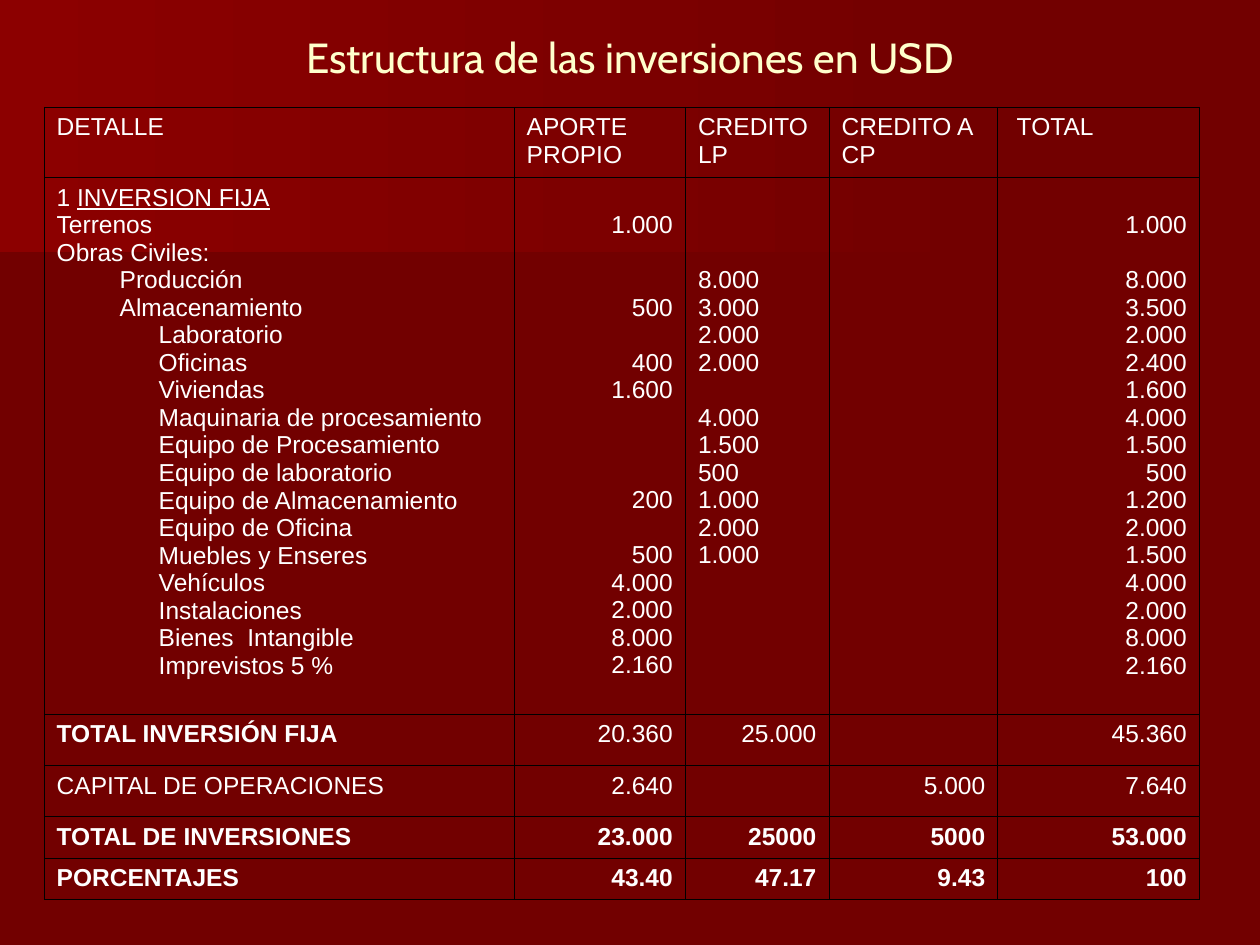
from dataclasses import dataclass

from lxml import etree
from pptx import Presentation, util as u
from pptx.dml.color import RGBColor
from pptx.enum import text
from pptx.oxml import ns

WHITE, CREAM, BLACK = "FFFFFF", "FFFFCC", "000000"
DARK, DEEP, BRIGHT = "720000", "6A0000", "8C0000"
LEFT, RIGHT = text.PP_ALIGN.LEFT, text.PP_ALIGN.RIGHT
INSET = 0.05   # top inset of a cell, inches
LINE = 15.7    # height of one text line, points
COLS = (3.73, 1.36, 1.14, 1.34, 1.6)
ROWS = (0.56, 4.26, 0.38, 0.39, 0.33, 0.33)


@dataclass
class Item:
    name: str
    own: str = ""
    loan: str = ""
    total: str = ""
    indent: float = 0.81


@dataclass
class Band:
    points: list
    near: str
    far: str


BANDS = [
    Band([(0, 1.01), (7.79, 1.01), (7.78, 1.53), (0, 2.17)], DARK, DEEP),
    Band([(0, 0), (7.92, 0), (7.92, 1.62), (0, 2.08)], DARK, BRIGHT),
]
HEADS = ("DETALLE", "APORTE PROPIO", "CREDITO LP", "CREDITO A CP", "TOTAL")
HEADING = ("1 ", "INVERSION FIJA")
ITEMS = [
    Item("Terrenos", "1.000", "", "1.000", 0),
    Item("Obras Civiles:", indent=0),
    Item("Producción", "", "8.000", "8.000", 0.5),
    Item("Almacenamiento", "500", "3.000", "3.500", 0.5),
    Item("Laboratorio", "", "2.000", "2.000"),
    Item("Oficinas", "400", "2.000", "2.400"),
    Item("Viviendas", "1.600", "", "1.600"),
    Item("Maquinaria de procesamiento", "", "4.000", "4.000"),
    Item("Equipo de Procesamiento", "", "1.500", "1.500"),
    Item("Equipo de laboratorio", "", "500", "500"),
    Item("Equipo de Almacenamiento", "200", "1.000", "1.200"),
    Item("Equipo de Oficina", "", "2.000", "2.000"),
    Item("Muebles y Enseres", "500", "1.000", "1.500"),
    Item("Vehículos", "4.000", "", "4.000"),
    Item("Instalaciones", "2.000", "", "2.000"),
    Item("Bienes  Intangible", "8.000", "", "8.000"),
    Item("Imprevistos 5 %", "2.160", "", "2.160"),
]
# Each summary row: its texts, then which columns are bold
SUMS = [
    (("TOTAL INVERSIÓN FIJA", "20.360", "25.000", "", "45.360"), (0,)),
    (("CAPITAL DE OPERACIONES", "2.640", "", "5.000", "7.640"), ()),
    (("TOTAL DE INVERSIONES", "23.000", "25000", "5000", "53.000"), range(5)),
    (("PORCENTAJES", "43.40", "47.17", "9.43", "100"), range(5)),
]


def color(code: str) -> RGBColor:
    return RGBColor.from_string(code)


def add_run(para, words: str, size=14, face="Arial", code=WHITE,
            bold=False, under=False) -> None:
    run = para.add_run()
    run.text = words
    font = run.font
    font.size, font.name = u.Pt(size), face
    font.bold, font.underline = bold, under
    font.color.rgb = color(code)


def next_para(frame):
    """Give the first, still empty paragraph or a new one."""
    first = frame.paragraphs[0]
    return frame.add_paragraph() if first.runs else first


def indent(para, inches: float) -> None:
    props = para._p.get_or_add_pPr()
    props.set("marL", str(u.Inches(inches)))
    props.set("indent", "0")


def draw_band(slide, band: Band) -> None:
    pen = slide.shapes.build_freeform(*band.points[0], scale=u.Inches(1))
    pen.add_line_segments(band.points[1:], close=True)
    shape = pen.convert_to_shape()
    shape.shadow.inherit = False
    shape.line.fill.background()
    shape.fill.gradient()
    shape.fill.gradient_angle = 180
    stops = shape.fill.gradient_stops
    for stop, code, place in zip(stops, (band.near, band.far), (0, 1)):
        stop.color.rgb, stop.position = color(code), place


def style_cell(cell) -> None:
    """Thin black borders and no fill."""
    cell.margin_left = cell.margin_right = u.Inches(0.1)
    cell.margin_top = cell.margin_bottom = u.Inches(INSET)
    cell.vertical_anchor = text.MSO_ANCHOR.TOP
    props = cell._tc.get_or_add_tcPr()
    for side in ("lnL", "lnR", "lnT", "lnB"):
        line = etree.SubElement(props, ns.qn(f"a:{side}"), w=str(u.Pt(0.45)))
        fill = etree.SubElement(line, ns.qn("a:solidFill"))
        etree.SubElement(fill, ns.qn("a:srgbClr"), val=BLACK)
    cell.fill.background()


def write_cell(cell, words: str, align=LEFT, bold=False) -> None:
    if words:
        para = cell.text_frame.paragraphs[0]
        para.alignment = align
        add_run(para, words, bold=bold)


def write_values(cell, values: list, align) -> None:
    """Set each value level with its item; missing ones leave a gap."""
    gap = 1  # the heading line
    for value in values:
        if not value:
            gap += 1
            continue
        para = next_para(cell.text_frame)
        if para is cell.text_frame.paragraphs[0] or len(cell.text_frame.paragraphs) == 1:
            cell.margin_top = u.Inches(INSET) + u.Pt(gap * LINE)
        elif gap:
            para.space_before = u.Pt(gap * LINE)
        para.alignment = align
        add_run(para, value)
        gap = 0


def write_items(cell) -> None:
    para = cell.text_frame.paragraphs[0]
    add_run(para, HEADING[0])
    add_run(para, HEADING[1], under=True)
    for item in ITEMS:
        para = next_para(cell.text_frame)
        indent(para, item.indent)
        add_run(para, item.name)


def draw_table(slide) -> None:
    frame = slide.shapes.add_table(
        len(ROWS), len(COLS), u.Inches(0.35), u.Inches(0.85),
        u.Inches(sum(COLS)), u.Inches(sum(ROWS)))
    table = frame.table
    table.first_row = table.horz_banding = False
    for col, width in zip(table.columns, COLS):
        col.width = u.Inches(width)
    for row, height in zip(table.rows, ROWS):
        row.height = u.Inches(height)
    for cell in table.iter_cells():
        style_cell(cell)

    # Header
    for col, head in enumerate(HEADS):
        write_cell(table.cell(0, col), head)
    indent(table.cell(0, 4).text_frame.paragraphs[0], 0.05)

    # Fixed investment
    write_items(table.cell(1, 0))
    write_values(table.cell(1, 1), [i.own for i in ITEMS], RIGHT)
    write_values(table.cell(1, 2), [i.loan for i in ITEMS], LEFT)
    write_values(table.cell(1, 4), [i.total for i in ITEMS], RIGHT)

    # Summary rows
    for row, (words, bold) in enumerate(SUMS, start=2):
        for col, word in enumerate(words):
            write_cell(table.cell(row, col), word,
                       RIGHT if col else LEFT, col in bold)


def draw_title(slide) -> None:
    title = slide.shapes.title
    slide.shapes._spTree.append(title._element)  # in front of the bands
    title.left, title.top = u.Inches(0.5), u.Inches(0.3)
    title.width, title.height = u.Inches(9), u.Inches(0.3)
    frame = title.text_frame
    frame.auto_size = text.MSO_AUTO_SIZE.NONE
    frame.vertical_anchor = text.MSO_ANCHOR.MIDDLE
    para = frame.paragraphs[0]
    para.alignment = text.PP_ALIGN.CENTER
    add_run(para, "Estructura de las inversiones en USD", 24, "Cabin", CREAM)


def main() -> None:
    deck = Presentation()
    deck.slide_width, deck.slide_height = u.Inches(10), u.Inches(7.5)
    slide = deck.slides.add_slide(deck.slide_layouts[5])
    back = slide.background.fill
    back.solid()
    back.fore_color.rgb = color(DARK)
    for band in BANDS:
        draw_band(slide, band)
    draw_title(slide)
    draw_table(slide)
    deck.save("out.pptx")


if __name__ == "__main__":
    main()
